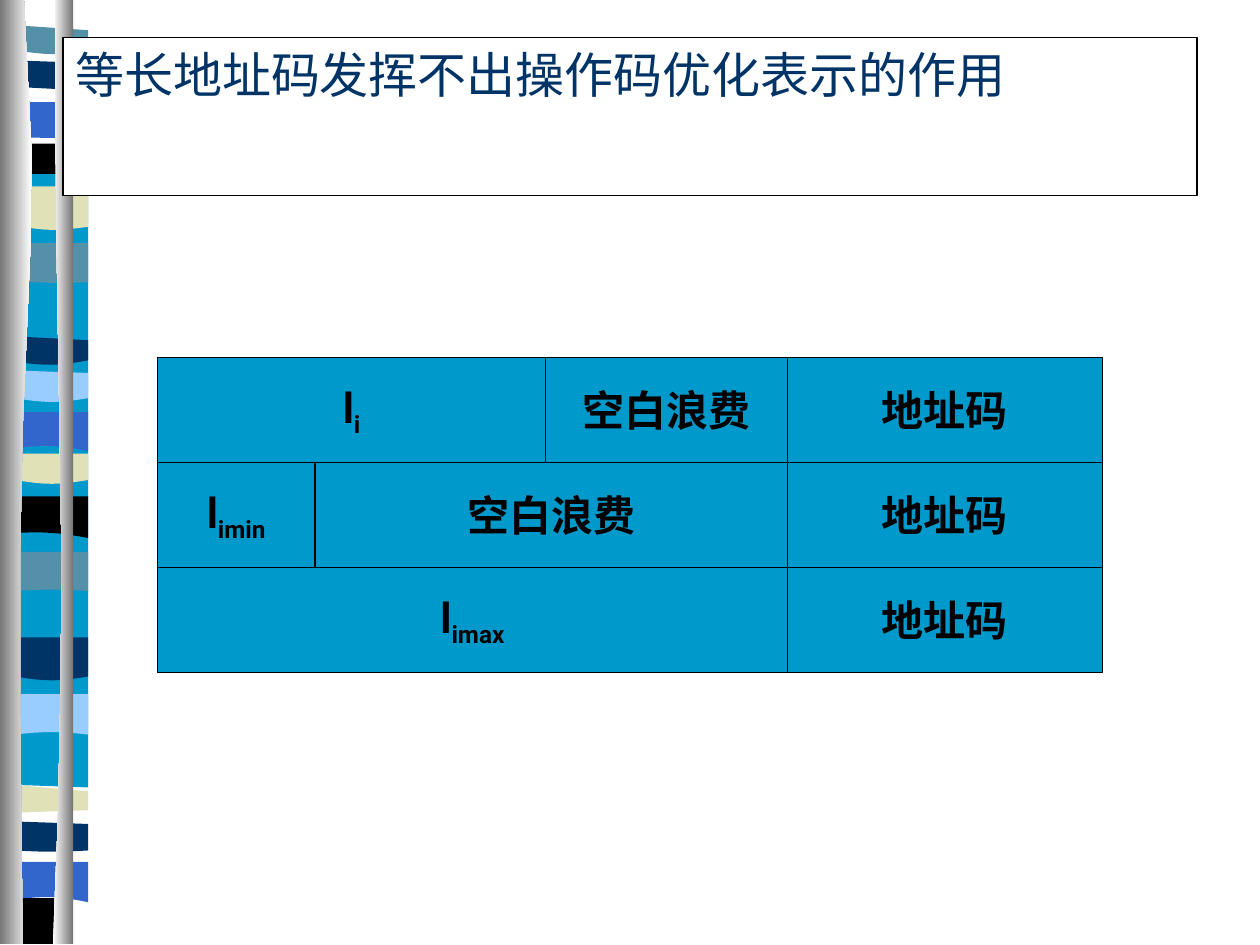
from math import pi, sin
from pptx import Presentation
from pptx.dml.color import RGBColor
from pptx.enum.shapes import MSO_SHAPE
from pptx.enum.text import MSO_ANCHOR, PP_ALIGN
from pptx.util import Inches, Pt

THEME = {
    "navy": "003366", "cyan": "0099CC", "steel": "5490A8", "blue": "3366CC",
    "sky": "99CCFF", "sand": "E1E1B7", "black": "000000", "white": "FFFFFF",
    "grey": "767676", "title_font": "Times New Roman", "title_size": 28,
    "cell_font": "Roboto", "cell_size": 24, "line": 0.75,
}
TITLE = "等长地址码发挥不出操作码优化表示的作用"

# Each field: text, subscript, left, right
ADDRESS = ("地址码", "", 6.25, 8.75)
ROWS = [
    [("l", "i", 1.25, 4.33), ("空白浪费", "", 4.33, 6.25), ADDRESS],
    [("l", "imin", 1.25, 2.5), ("空白浪费", "", 2.5, 6.25), ADDRESS],
    [("l", "imax", 1.25, 6.25), ADDRESS],
]
ROWS_BOTTOM, ROW_HEIGHT = 5.335, 2.5 / 3

# Each ribbon: colour, (top left, top right), (bottom left, bottom right), bottom bulge
RIBBON_LEFT, RIBBON_RIGHT = 0.12, 0.7
RIBBONS = [
    ("cyan", (1.38, 1.38), (6.23, 6.25), 0),
    ("steel", (0.2, 0.24), (0.4, 0.42), 0.02),
    ("navy", (0.48, 0.5), (0.69, 0.72), 0),
    ("blue", (0.81, 0.81), (1.09, 1.1), 0),
    ("black", (1.14, 1.14), (1.38, 1.38), 0),
    ("sand", (1.48, 1.48), (1.79, 1.8), 0.03),
    ("steel", (1.93, 1.93), (2.23, 2.24), 0.01),
    ("navy", (2.67, 2.7), (2.87, 2.86), 0.03),
    ("sky", (2.94, 2.96), (3.16, 3.16), 0.03),
    ("blue", (3.27, 3.27), (3.56, 3.58), -0.03),
    ("sand", (3.6, 3.6), (3.81, 3.81), 0.03),
    ("black", (3.94, 3.94), (4.23, 4.27), -0.02),
    ("steel", (4.38, 4.38), (4.69, 4.69), -0.01),
    ("navy", (5.06, 5.06), (5.37, 5.37), 0.03),
    ("sky", (5.51, 5.51), (5.83, 5.83), -0.02),
    ("sand", (6.23, 6.28), (6.45, 6.43), 0),
    ("navy", (6.52, 6.54), (6.75, 6.75), 0.01),
    ("blue", (6.84, 6.84), (7.14, 7.16), -0.03),
]
LAST_RIBBON = [(0.12, 7.13), (0.45, 7.13), (0.45, 7.49), (0.12, 7.49)]
# Each pole: straight edge, wavy edge points, left colour, right colour
POLES = [
    (0, [(0.19, 0), (0.22, 0.6), (0.25, 1.2), (0.24, 2), (0.21, 2.7),
         (0.18, 3.4), (0.16, 4.4), (0.16, 5.6), (0.17, 6.5), (0.18, 7.49)], "grey", "white"),
    (0.58, [(0.44, 0), (0.44, 1), (0.45, 2), (0.47, 3.2), (0.49, 4.5),
            (0.48, 5.5), (0.46, 6.5), (0.42, 7.49)], "white", "grey"),
]


def colour(name):
    return RGBColor.from_string(THEME[name])


def add_outline(slide, points):
    start, *others = [(Inches(x), Inches(y)) for x, y in points]
    builder = slide.shapes.build_freeform(*start)
    builder.add_line_segments(others)
    shape = builder.convert_to_shape()
    shape.shadow.inherit = False
    shape.line.fill.background()
    return shape


def add_solid_outline(slide, points, name):
    fill = add_outline(slide, points).fill
    fill.solid()
    fill.fore_color.rgb = colour(name)


def add_ribbon(slide, name, top, bottom, bulge):
    steps = 8
    width = RIBBON_RIGHT - RIBBON_LEFT
    points = [(RIBBON_LEFT, top[0]), (RIBBON_RIGHT, top[1])]
    for step in range(steps, -1, -1):
        share = step / steps
        y = bottom[0] + (bottom[1] - bottom[0]) * share + bulge * sin(pi * share)
        points.append((RIBBON_LEFT + width * share, y))
    add_solid_outline(slide, points, name)


def add_pole(slide, straight, edge, left_colour, right_colour):
    shape = add_outline(slide, [(straight, 0), *edge, (straight, 7.49)])
    shape.fill.gradient()
    shape.fill.gradient_angle = 0
    for stop, position, name in zip(shape.fill.gradient_stops, (0, 1), (left_colour, right_colour)):
        stop.position = position
        stop.color.rgb = colour(name)


def add_box(slide, left, top, width, height, fill_name):
    shape = slide.shapes.add_shape(MSO_SHAPE.RECTANGLE, *map(Inches, (left, top, width, height)))
    shape.shadow.inherit = False
    shape.fill.solid()
    shape.fill.fore_color.rgb = colour(fill_name)
    shape.line.color.rgb = colour("black")
    shape.line.width = Pt(THEME["line"])
    return shape


def add_run(paragraph, text, kind, colour_name, bold=False):
    run = paragraph.add_run()
    run.text = text
    run.font.color.rgb = colour(colour_name)
    values = {"name": THEME[kind + "_font"], "size": Pt(THEME[kind + "_size"]), "bold": bold}
    for attribute, value in values.items():
        setattr(run.font, attribute, value)
    return run


def add_title(slide):
    frame = add_box(slide, 0.5, 0.3, 9, 1.25, "white").text_frame
    frame.word_wrap = True
    frame.vertical_anchor = MSO_ANCHOR.TOP
    frame.paragraphs[0].alignment = PP_ALIGN.LEFT
    add_run(frame.paragraphs[0], TITLE, "title", "navy")


def add_field(slide, top, text, subscript, left, right):
    frame = add_box(slide, left, top, right - left, ROW_HEIGHT, "cyan").text_frame
    frame.word_wrap = False
    frame.vertical_anchor = MSO_ANCHOR.MIDDLE
    paragraph = frame.paragraphs[0]
    paragraph.alignment = PP_ALIGN.CENTER
    add_run(paragraph, text, "cell", "black", True)
    if subscript:
        run = add_run(paragraph, subscript, "cell", "black", True)
        run._r.get_or_add_rPr().set("baseline", "-25000")


def main():
    presentation = Presentation()
    presentation.slide_width, presentation.slide_height = Inches(10), Inches(7.5)
    slide = presentation.slides.add_slide(presentation.slide_layouts[6])
    for ribbon in RIBBONS:
        add_ribbon(slide, *ribbon)
    add_solid_outline(slide, LAST_RIBBON, "black")
    for pole in POLES:
        add_pole(slide, *pole)
    add_title(slide)
    rows_top = ROWS_BOTTOM - len(ROWS) * ROW_HEIGHT
    for index, row in enumerate(ROWS):
        for field in row:
            add_field(slide, rows_top + index * ROW_HEIGHT, *field)
    presentation.save("out.pptx")


if __name__ == "__main__":
    main()
